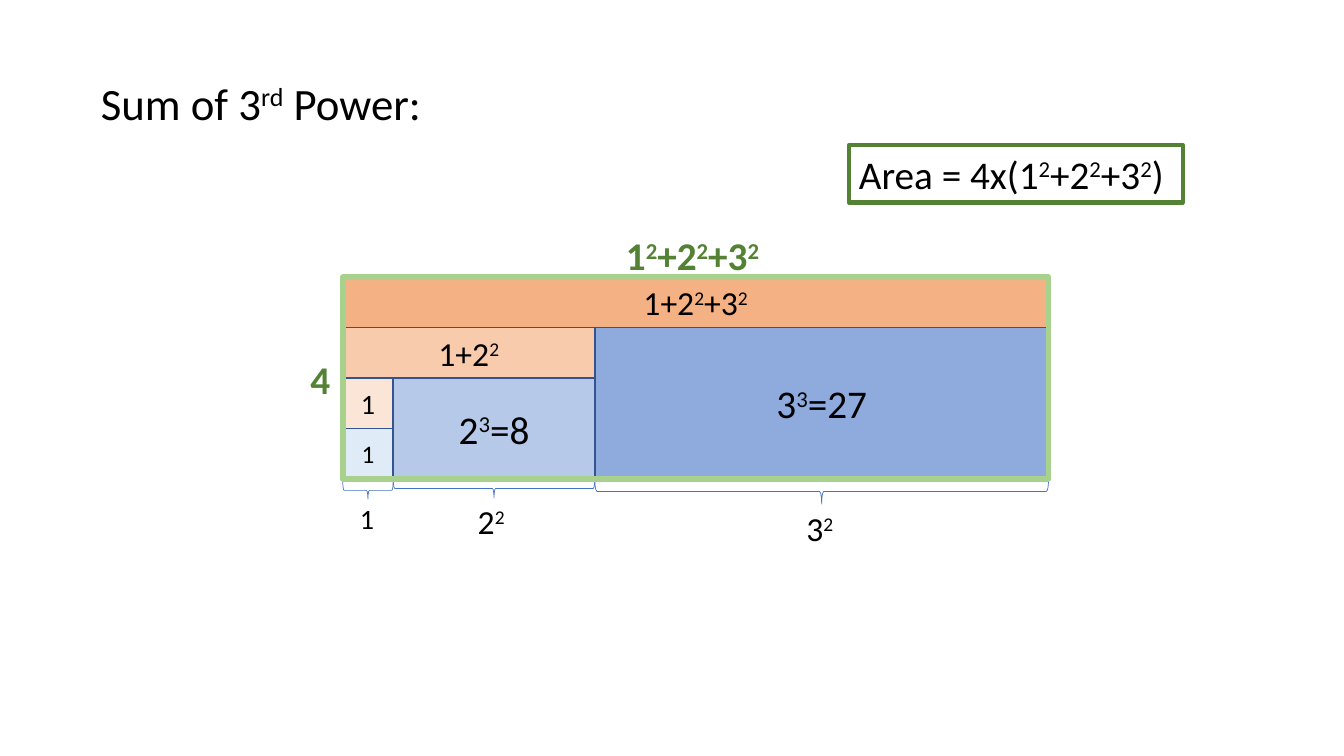
import pptx
import pptx.dml.color
import pptx.enum.shapes
import pptx.enum.text
import pptx.util

Inches = pptx.util.Inches
Pt = pptx.util.Pt
SHAPES = pptx.enum.shapes.MSO_SHAPE
ALIGN = pptx.enum.text.PP_ALIGN
ANCHOR = pptx.enum.text.MSO_ANCHOR

COLORS = {
    "text": "000000",
    "green": "548235",
    "frame": "A9D18E",
    "edge": "325491",
    "brace": "4472C4",
}
UNIT = 0.5  # side of the unit square

# Per power: cube text, cube size, cube fill, opacity, strip text, strip size, strip fill
BLOCKS = [
    ("1", 18, "DEEBF7", 95, "1", 20, "FBE5D6"),
    ("2|3|=8", 28, "B4C7E7", 95, "1+2|2", 24, "F8CBAD"),
    ("3|3|=27", 28, "8FAADC", 100, "1+2|2|+3|2", 24, "F4B183"),
]
# Per power: brace top, brace depth, label text, label size, label offset (x, y), label width
WIDTH_MARKS = [
    (4.78, 0.17, "1", 20, 0.07, 4.93, 0.37),
    (4.75, 0.19, "2|2", 24, 0.74, 4.92, 0.83),
    (4.75, 0.25, "3|2", 24, 2.0, 4.99, 0.85),
]


def rgb(value):
    return pptx.dml.color.RGBColor.from_string(value)


def write(shape, text, size, color="text", bold=False, align=ALIGN.LEFT, anchor=ANCHOR.TOP):
    """Fill a shape with one paragraph; every second part between bars is raised."""
    frame = shape.text_frame
    frame.word_wrap = True
    frame.vertical_anchor = anchor
    para = frame.paragraphs[0]
    para.alignment = align
    for index, part in enumerate(text.split("|")):
        if not part:
            continue
        span = para.add_run()
        span.text = part
        span.font.name = "Calibri"
        span.font.size = Pt(size)
        span.font.bold = bold
        span.font.color.rgb = rgb(COLORS[color])
        if index % 2:
            span.font._element.set("baseline", "30000")


def add_label(page, box, text, size, **style):
    label = page.shapes.add_textbox(*map(Inches, box))
    write(label, text, size, **style)


def add_outline(page, kind, box, line, weight, fill=None, opacity=100):
    shape = page.shapes.add_shape(kind, *map(Inches, box))
    shape.shadow.inherit = False
    shape.line.color.rgb = rgb(COLORS[line])
    shape.line.width = Pt(weight)
    if fill is None:
        shape.fill.background()
        return shape
    shape.fill.solid()
    shape.fill.fore_color.rgb = rgb(fill)
    if opacity < 100:
        color = shape._element.spPr.find(".//" + pptx.oxml.ns.qn("a:srgbClr"))
        alpha = color.makeelement(pptx.oxml.ns.qn("a:alpha"), {"val": str(opacity * 1000)})
        color.append(alpha)
    return shape


def add_block(page, box, text, size, fill, opacity=100):
    block = add_outline(page, SHAPES.RECTANGLE, box, "edge", 1, fill, opacity)
    write(block, text, size, align=ALIGN.CENTER, anchor=ANCHOR.MIDDLE)


def add_brace(page, left, top, width, depth):
    """Draw a brace opening upwards: a left brace turned about its centre."""
    shift = (width - depth) / 2
    box = (left + shift, top - shift, depth, width)
    brace = add_outline(page, SHAPES.LEFT_BRACE, box, "brace", 0.5)
    brace.rotation = 270


def add_heading(page, box):
    title = page.shapes.title
    title.left, title.top, title.width, title.height = map(Inches, box)
    write(title, "Sum of 3|rd| Power:", 32)


def add_area_diagram(page, box):
    left, top, width, height = box
    bottom = top + height

    # Cubes, braces and labels run along the base
    edge = left
    strips = []
    for power, (block, mark) in enumerate(zip(BLOCKS, WIDTH_MARKS), start=1):
        cube_text, cube_size, cube_fill, opacity, *strip = block
        brace_top, depth, label, label_size, shift, label_top, label_width = mark
        cube_width, cube_height = power ** 2 * UNIT, power * UNIT
        cube_top = bottom - cube_height
        add_block(page, (edge, cube_top, cube_width, cube_height),
                  cube_text, cube_size, cube_fill, opacity)
        add_brace(page, edge, top + brace_top - 2.75, cube_width, depth)
        add_label(page, (edge + shift, top + label_top - 2.75, label_width, 0.5),
                  label, label_size)
        edge += cube_width
        strips.append(((left, cube_top - UNIT, edge - left, UNIT), *strip))

    # A strip lies on top of each cube and all cubes before it
    for strip in strips:
        add_block(page, *strip)

    # Frame with its two side lengths
    add_outline(page, SHAPES.RECTANGLE, box, "frame", 4)
    add_label(page, (left - 0.42, top + 0.73, 0.67, 0.57), "4", 28, color="green", bold=True)
    add_label(page, (left + 2.71, top - 0.5, 1.58, 0.57), "1|2|+2|2|+3|2", 28,
              color="green", bold=True)


def add_formula(page, box):
    formula = add_outline(page, SHAPES.RECTANGLE, box, "green", 3)
    write(formula, "Area = 4x(1|2|+2|2|+3|2|)", 28)


def main():
    deck = pptx.Presentation()
    deck.slide_width = Inches(13.33)
    deck.slide_height = Inches(7.5)
    page = deck.slides.add_slide(deck.slide_layouts[5])
    add_heading(page, (0.9, 0.7, 9, 0.64))
    add_area_diagram(page, (3.4, 2.75, 7, 2))
    add_formula(page, (8.42, 1.44, 3.31, 0.57))
    deck.save("out.pptx")


if __name__ == "__main__":
    main()
